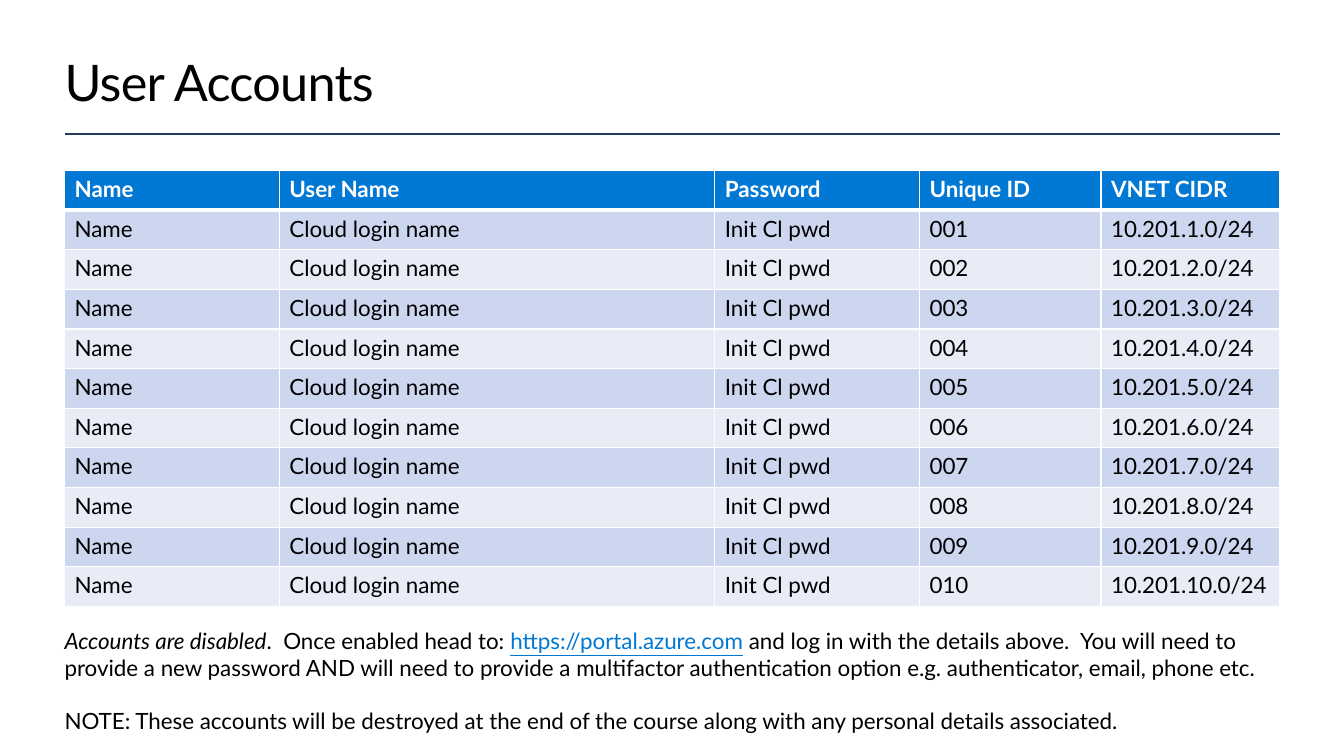
"""Build the User Accounts slide: a title, an account table and sign-in notes."""
from lxml import etree
from pptx import Presentation
from pptx.dml.color import RGBColor
from pptx.enum.shapes import MSO_CONNECTOR
from pptx.enum.text import MSO_ANCHOR, PP_ALIGN
from pptx.oxml.ns import qn
from pptx.util import Inches, Pt

STRAIGHT = MSO_CONNECTOR.STRAIGHT
MIDDLE = MSO_ANCHOR.MIDDLE
LEFT_ALIGN = PP_ALIGN.LEFT

TITLE = "User Accounts"
HEADINGS = ("Name", "User Name", "Password", "Unique ID", "VNET CIDR")
ACCOUNTS = [
    ("Name", "Cloud login name", "Init Cl pwd", f"{number:03}", f"10.201.{number}.0/24")
    for number in range(1, 11)
]
SIGN_IN = (
    ("Accounts are disabled", "italic"),
    (".  Once enabled head to: ", "plain"),
    ("https://portal.azure.com", "address"),
    (" and log in with the details above.  You will need to provide a new password "
     "AND will need to provide a multifactor authentication option e.g. "
     "authenticator, email, phone etc.", "plain"),
)
NOTE = (
    ("NOTE: These accounts will be destroyed at the end of the course along with "
     "any personal details associated.", "plain"),
)

FONT = "Lato"
BLACK, WHITE, BLUE, NAVY = "000000", "FFFFFF", "0078D4", "243A5E"
BANDS = ("CCD6EF", "E7ECF7")
LEFT, WIDTH = 0.64, 12.05
COLUMN_WIDTHS = (2.13, 4.32, 2.03, 1.8, 1.77)
TABLE_TOP, TABLE_HEIGHT = 1.69, 4.33


def color(value):
    return RGBColor.from_string(value)


def style(font, size, value, bold=False):
    font.name = FONT
    font.size = Pt(size)
    font.bold = bold
    font.color.rgb = color(value)


def clear_margins(frame):
    frame.word_wrap = True
    frame.margin_left = frame.margin_right = 0
    frame.margin_top = frame.margin_bottom = 0


def add_borders(cell, top, bottom):
    properties = cell._tc.get_or_add_tcPr()
    for side, points in (("lnL", 1), ("lnR", 1), ("lnT", top), ("lnB", bottom)):
        border = etree.SubElement(properties, qn(f"a:{side}"), w=str(Pt(points)))
        fill = etree.SubElement(border, qn("a:solidFill"))
        etree.SubElement(fill, qn("a:srgbClr"), val=WHITE)


def add_title(slide):
    title = slide.shapes.title
    title.left, title.top = Inches(LEFT), Inches(0.5)
    title.width, title.height = Inches(WIDTH), Inches(0.61)
    frame = title.text_frame
    clear_margins(frame)
    frame.vertical_anchor = MIDDLE
    frame.text = TITLE
    heading = frame.paragraphs[0]
    heading.alignment = LEFT_ALIGN
    style(heading.font, 36, BLACK)
    heading.runs[0]._r.get_or_add_rPr().set("spc", "-50")


def add_rule(slide):
    rule = slide.shapes.add_connector(
        STRAIGHT, Inches(LEFT), Inches(1.33), Inches(12.7), Inches(1.33))
    rule.line.color.rgb = color(NAVY)
    rule.line.width = Pt(2)
    etree.SubElement(rule._element.spPr, qn("a:effectLst"))


def add_accounts(slide):
    rows = [HEADINGS, *ACCOUNTS]
    table = slide.shapes.add_table(
        len(rows), len(HEADINGS), Inches(LEFT), Inches(TABLE_TOP),
        Inches(WIDTH), Inches(TABLE_HEIGHT)).table
    for column, width in zip(table.columns, COLUMN_WIDTHS):
        column.width = Inches(width)
    for r, values in enumerate(rows):
        header = r == 0
        for c, value in enumerate(values):
            cell = table.cell(r, c)
            add_borders(cell, 3 if r == 1 else 1, 3 if header else 1)
            cell.fill.solid()
            cell.fill.fore_color.rgb = color(BLUE if header else BANDS[(r - 1) % 2])
            cell.text = value
            style(cell.text_frame.paragraphs[0].font, 16,
                  WHITE if header else BLACK, header)


def add_notes(slide):
    frame = slide.shapes.add_textbox(
        Inches(LEFT), Inches(6.22), Inches(WIDTH), Inches(1.08)).text_frame
    clear_margins(frame)
    sign_in, note = frame.paragraphs[0], frame.add_paragraph()
    note.space_before = Pt(19)
    for paragraph, pieces in ((sign_in, SIGN_IN), (note, NOTE)):
        style(paragraph.font, 16, BLACK)
        for words, kind in pieces:
            run = paragraph.add_run()
            run.text = words
            if kind == "italic":
                run.font.italic = True
            elif kind == "address":
                run.font.underline = True
                run.font.color.rgb = color(BLUE)


def main():
    deck = Presentation()
    deck.slide_width, deck.slide_height = Inches(13.33), Inches(7.5)
    slide = deck.slides.add_slide(deck.slide_layouts[5])
    add_rule(slide)
    add_title(slide)
    add_accounts(slide)
    add_notes(slide)
    deck.save("out.pptx")


if __name__ == "__main__":
    main()
